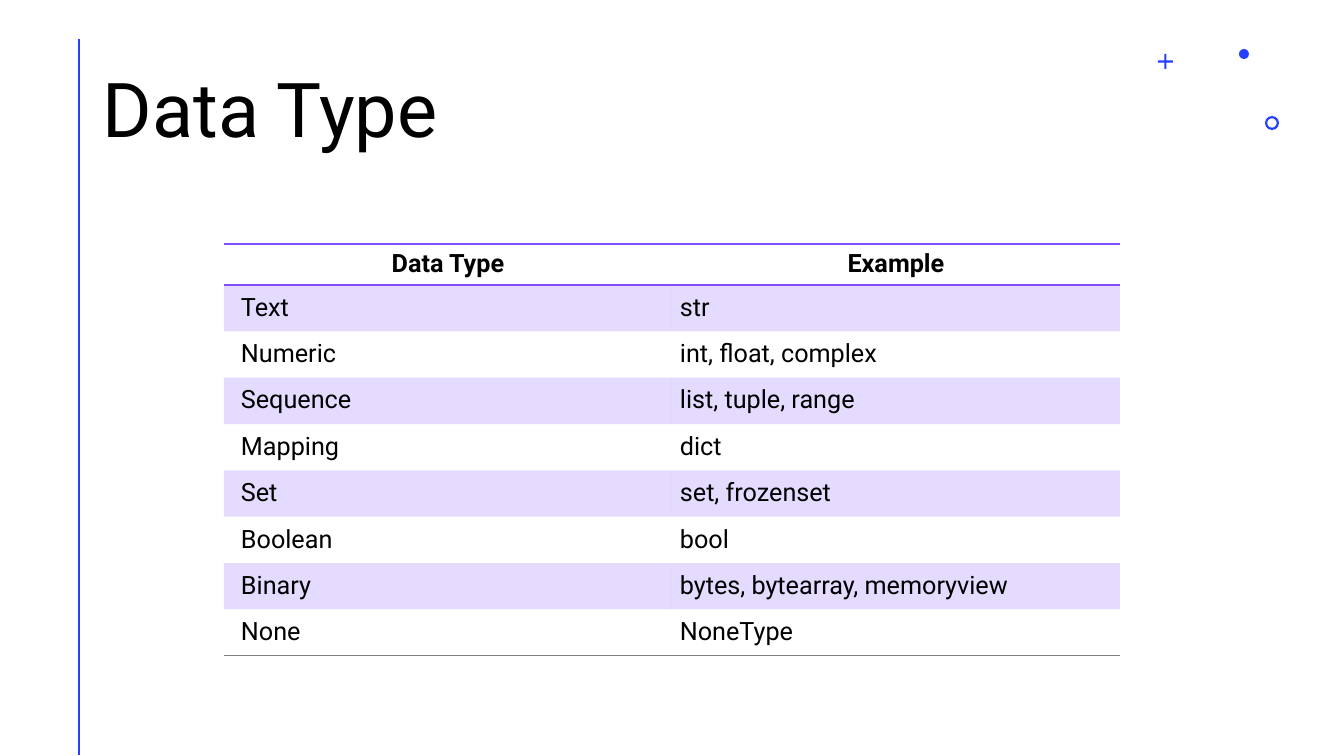
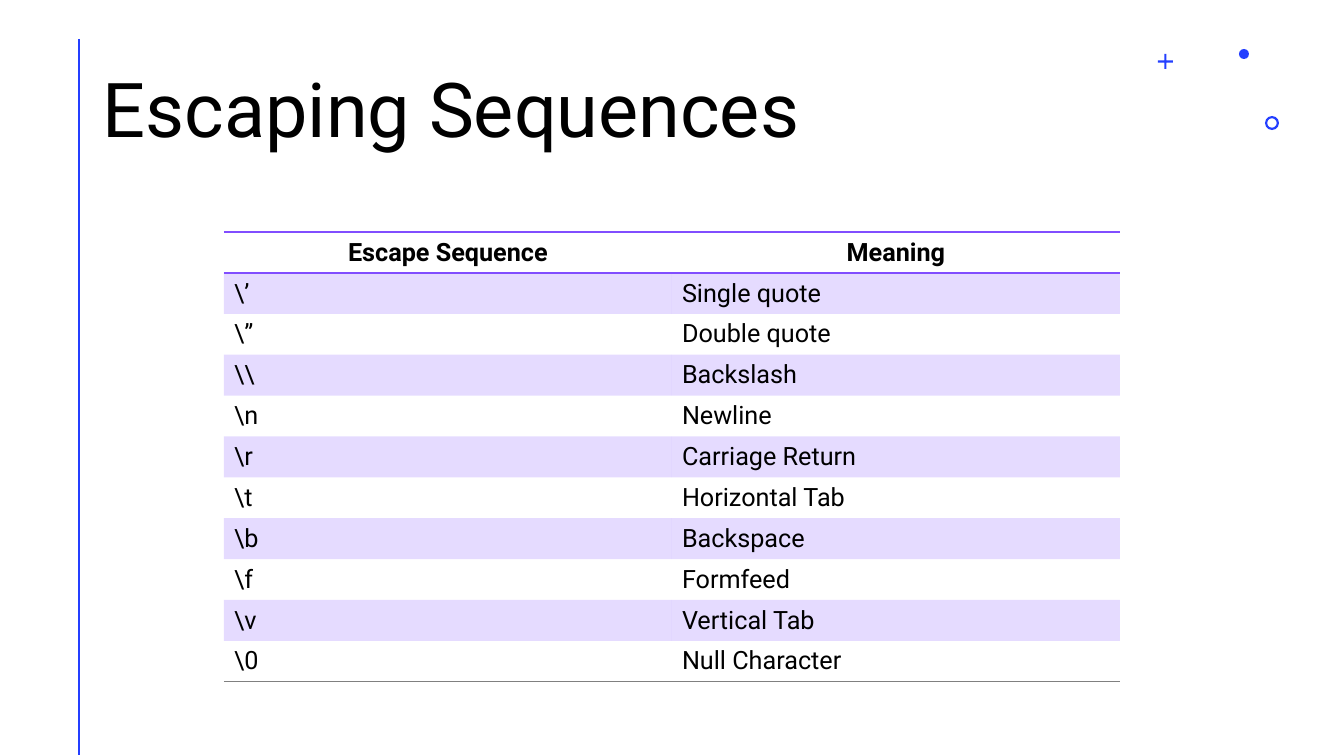
from dataclasses import dataclass

from lxml.etree import SubElement
from pptx import Presentation
from pptx.dml.color import RGBColor
from pptx.enum.shapes import MSO_CONNECTOR, MSO_SHAPE
from pptx.enum.text import MSO_ANCHOR, PP_ALIGN
from pptx.oxml.ns import qn
from pptx.util import Emu, Pt


@dataclass(frozen=True)
class Theme:
    """Colours, font and sizes shared by the slides."""
    font: str = "Roboto"
    text: str = "000000"
    accent: str = "243FFF"
    rule: str = "814DFF"
    last_rule: str = "808080"
    band_alpha: int = 20
    title_size: int = 54
    body_size: int = 18
    line_width: float = 2
    border_width: float = 1
    no_style: str = "{2D5ABB26-0587-4C30-8999-92F81FD0307C}"


THEME = Theme()
TABLE_LEFT, COLUMN_WIDTH, HEADER_HEIGHT = 224, 448, 41

DATA_TYPES = [
    ("Data Type", "Example"),
    ("Text", "str"),
    ("Numeric", "int, float, complex"),
    ("Sequence", "list, tuple, range"),
    ("Mapping", "dict"),
    ("Set", "set, frozenset"),
    ("Boolean", "bool"),
    ("Binary", "bytes, bytearray, memoryview"),
    ("None", "NoneType"),
]

ESCAPES = [
    ("Escape Sequence", "Meaning"),
    (r"\’", "Single quote"),
    (r"\”", "Double quote"),
    (r"\\", "Backslash"),
    (r"\n", "Newline"),
    (r"\r", "Carriage Return"),
    (r"\t", "Horizontal Tab"),
    (r"\b", "Backspace"),
    (r"\f", "Formfeed"),
    (r"\v", "Vertical Tab"),
    (r"\0", "Null Character"),
]


def px(n):
    """Turn pixels at 100.8 to the inch into EMU."""
    return Emu(round(n * 914400 / 100.8))


def rgb(value):
    """Turn a hex string into a colour."""
    return RGBColor.from_string(value)


def write(tf, text, size=THEME.body_size, bold=False, align=PP_ALIGN.LEFT, spacing=None):
    """Put one formatted paragraph into a text frame."""
    p = tf.paragraphs[0]
    p.alignment = align
    p.line_spacing = spacing
    r = p.add_run()
    r.text = text
    r.font.name = THEME.font
    r.font.size = Pt(size)
    r.font.bold = bold
    r.font.color.rgb = rgb(THEME.text)


def add_title(s, text):
    """Add the slide title."""
    tf = s.shapes.add_textbox(px(93), px(40), px(1159), px(146)).text_frame
    tf.word_wrap = True
    tf.vertical_anchor = MSO_ANCHOR.MIDDLE
    write(tf, text, size=THEME.title_size, spacing=0.9)


def add_side_line(s):
    """Add the vertical line left of the title."""
    line = s.shapes.add_connector(MSO_CONNECTOR.STRAIGHT, px(79), px(39), px(79), px(755))
    line.line.color.rgb = rgb(THEME.accent)
    line.line.width = Pt(THEME.line_width)
    SubElement(line._element.spPr, qn("a:effectLst"))


def add_ornament(s, kind, left, top, size, adjustment=None):
    """Add one small accent shape."""
    sp = s.shapes.add_shape(kind, px(left), px(top), px(size), px(size))
    sp.shadow.inherit = False
    sp.fill.solid()
    sp.fill.fore_color.rgb = rgb(THEME.accent)
    sp.line.fill.background()
    if adjustment is not None:
        sp.adjustments[0] = adjustment


def set_border(cell, side, color):
    """Draw one side of a cell, given as T or B."""
    ln = SubElement(cell._tc.get_or_add_tcPr(), qn(f"a:ln{side}"), w=str(Pt(THEME.border_width)))
    fill = SubElement(ln, qn("a:solidFill"))
    SubElement(fill, qn("a:srgbClr"), val=color)


def fill_cell(cell, banded):
    """Give a cell the pale band or no fill."""
    if not banded:
        cell.fill.background()
        return
    cell.fill.solid()
    cell.fill.fore_color.rgb = rgb(THEME.rule)
    color = cell._tc.tcPr.find(f".//{qn('a:srgbClr')}")
    SubElement(color, qn("a:alpha"), val=str(THEME.band_alpha * 1000))


def add_ruled_table(s, rows, top, body_height, anchor, insets=None):
    """Add a two-column table with a header row and banded body."""
    last = len(rows) - 1
    table = s.shapes.add_table(len(rows), 2, px(TABLE_LEFT), px(top), px(2 * COLUMN_WIDTH),
                               px(HEADER_HEIGHT + body_height)).table
    table.first_row = table.horz_banding = False
    table._tbl.tblPr.find(qn("a:tableStyleId")).text = THEME.no_style
    for column in table.columns:
        column.width = px(COLUMN_WIDTH)
    for i, row in enumerate(rows):
        header = i == 0
        table.rows[i].height = px(HEADER_HEIGHT if header else body_height / last)
        for j, text in enumerate(row):
            cell = table.cell(i, j)
            cell.vertical_anchor = anchor
            if insets and not header:
                cell.margin_left = px(insets[j])
                cell.margin_right = cell.margin_top = cell.margin_bottom = px(8)
            write(cell.text_frame, text, bold=header,
                  align=PP_ALIGN.CENTER if header else PP_ALIGN.LEFT)
            if header:
                set_border(cell, "T", THEME.rule)
                set_border(cell, "B", THEME.rule)
            elif i == last:
                set_border(cell, "B", THEME.last_rule)
            fill_cell(cell, i % 2 == 1)


def add_base_slide(prs, title):
    """Add a slide with the shared decoration and its title."""
    s = prs.slides.add_slide(prs.slide_layouts[6])
    add_side_line(s)
    add_ornament(s, MSO_SHAPE.CROSS, 1158, 54, 15, 0.43)
    add_ornament(s, MSO_SHAPE.DONUT, 1265, 116, 14, 0.16)
    add_ornament(s, MSO_SHAPE.OVAL, 1239, 49, 10)
    add_title(s, title)
    return s


def main():
    """Build and save the presentation."""
    prs = Presentation()
    prs.slide_width, prs.slide_height = px(1344), px(756)
    s = add_base_slide(prs, "Data Type")
    add_ruled_table(s, DATA_TYPES, 244, 371, MSO_ANCHOR.TOP, insets=(17, 8))
    s = add_base_slide(prs, "Escaping Sequences")
    add_ruled_table(s, ESCAPES, 232, 409, MSO_ANCHOR.MIDDLE)
    prs.save("out.pptx")


if __name__ == "__main__":
    main()
